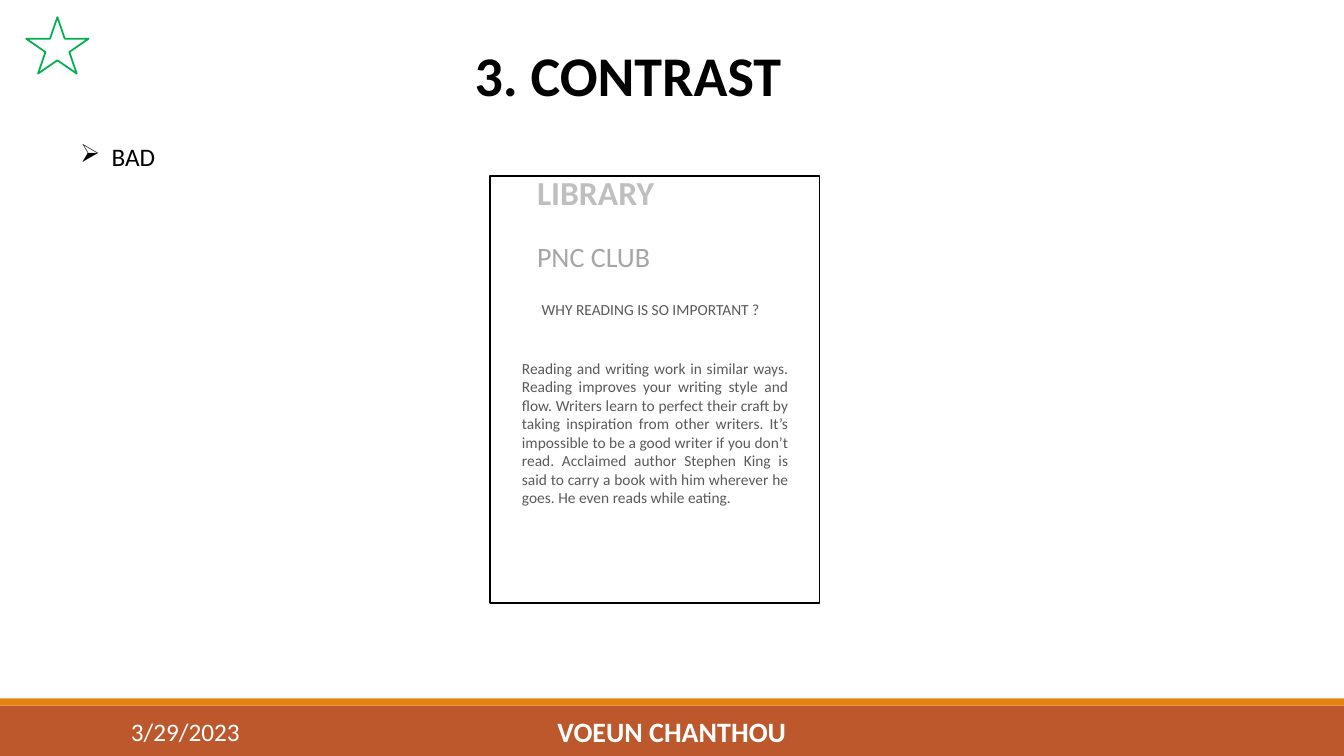
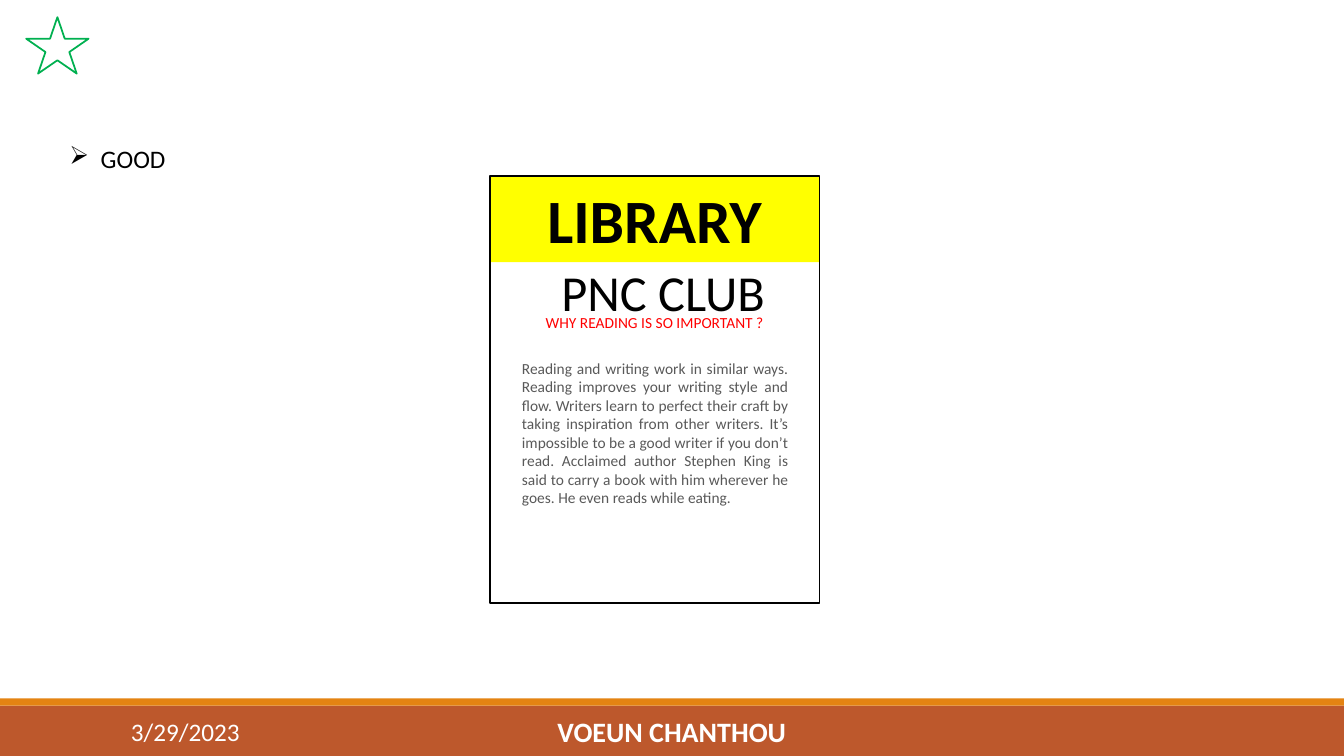
from dataclasses import dataclass

from lxml import etree
from pptx import Presentation
from pptx import util as u
from pptx.dml.color import RGBColor
from pptx.enum import shapes, text
from pptx.oxml import ns

WIDTH, HEIGHT = 13.33, 7.5
FONT = "Calibri"
COLORS = {
    "footer": "BD582C", "strip": "E48312", "star": "00B050",
    "black": "000000", "white": "FFFFFF", "yellow": "FFFF00", "red": "FF0000",
    "pale": "BFBFBF", "grey": "A6A6A6", "dark": "595959",
}
ALIGN = text.PP_ALIGN
PRESET = shapes.MSO_SHAPE

QUESTION = "WHY READING IS SO IMPORTANT ?"
ARTICLE = (
    "Reading and writing work in similar ways. Reading improves your writing "
    "style and flow. Writers learn to perfect their craft by taking inspiration "
    "from other writers. It’s impossible to be a good writer if you don’t read. "
    "Acclaimed author Stephen King is said to carry a book with him wherever he "
    "goes. He even reads while eating."
)


@dataclass
class Box:
    """An area in inches; areas inside it are given in percent of it."""
    left: float
    top: float
    width: float
    height: float

    def inner(self, x, y, w, h):
        return Box(self.left + self.width * x / 100, self.top + self.height * y / 100,
                   self.width * w / 100, self.height * h / 100)

    def place(self):
        return [u.Inches(n) for n in (self.left, self.top, self.width, self.height)]


PAGE = Box(0, 0, WIDTH, HEIGHT)
FOOTER = PAGE.inner(0, 92.4, 100, 7.6)
POSTER = PAGE.inner(36.45, 23.33, 24.53, 56.4)

# What differs between the two posters: place in the poster and format
BAD_POSTER = {
    "heading": ((11.3, -2.1, 41.9, 11.8), dict(size=24, color="pale", bold=True, wrap=False)),
    "question": ((0.3, 27.9, 97, 6.9), dict(color="dark")),
    "club": ((11.3, 13.7, 40.7, 10.4), dict(size=20, color="grey", wrap=False)),
}
GOOD_POSTER = {
    "heading": ((0, 0.2, 100, 19.9),
                dict(size=44, bold=True, align=ALIGN.CENTER, fill="yellow")),
    "question": ((1.5, 31, 97, 6.9), dict(color="red")),
    "club": ((18.7, 18.7, 68.5, 16.8), dict(size=36, wrap=False)),
}


def rgb(name):
    return RGBColor.from_string(COLORS[name])


def add_figure(slide, box, preset=PRESET.RECTANGLE, fill=None, line=None):
    figure = slide.shapes.add_shape(preset, *box.place())
    figure.shadow.inherit = False
    if fill:
        figure.fill.solid()
        figure.fill.fore_color.rgb = rgb(fill)
    else:
        figure.fill.background()
    if line:
        figure.line.color.rgb = rgb(line)
        figure.line.width = u.Pt(1.25)
    else:
        figure.line.fill.background()
    return figure


def add_text(slide, box, words, size=18, color="black", bold=False, align=ALIGN.LEFT,
             anchor=text.MSO_ANCHOR.TOP, wrap=True, fill=None):
    holder = (add_figure(slide, box, fill=fill) if fill
              else slide.shapes.add_textbox(*box.place()))
    frame = holder.text_frame
    frame_format = dict(word_wrap=wrap, vertical_anchor=anchor,
                        auto_size=text.MSO_AUTO_SIZE.NONE if wrap
                        else text.MSO_AUTO_SIZE.SHAPE_TO_FIT_TEXT)
    for name, value in frame_format.items():
        setattr(frame, name, value)
    paragraph = frame.paragraphs[0]
    paragraph.alignment = align
    run = paragraph.add_run()
    run.text = words
    for name, value in dict(name=FONT, size=u.Pt(size), bold=bold).items():
        setattr(run.font, name, value)
    run.font.color.rgb = rgb(color)
    return paragraph


def add_verdict(slide, box, words):
    """One line with an arrow bullet and a hanging indent."""
    properties = add_text(slide, box, words)._p.get_or_add_pPr()
    indent = u.Inches(0.31)
    properties.set("marL", str(indent))
    properties.set("indent", str(-indent))
    etree.SubElement(properties, ns.qn("a:buChar")).set("char", "➢")


def add_footer(slide, box):
    add_figure(slide, box.inner(0, 12.3, 100, 87.7), fill="footer")
    add_figure(slide, box.inner(0, 0, 100, 12.3), fill="strip")
    label = dict(color="white", anchor=text.MSO_ANCHOR.MIDDLE)
    add_text(slide, box.inner(9, 22.8, 20.25, 70.2), "3/29/2023", **label)
    add_text(slide, box.inner(30.23, 22.8, 39.53, 70.2), "VOEUN CHANTHOU",
             size=20, bold=True, align=ALIGN.CENTER, **label)


def add_poster(slide, box, style):
    def add_words(name, words, **shared):
        place, look = style[name]
        add_text(slide, box.inner(*place), words, **shared, **look)

    add_words("heading", "LIBRARY")
    add_figure(slide, box, line="black")
    add_words("question", QUESTION, size=11, align=ALIGN.CENTER)
    add_words("club", "PNC CLUB")
    add_text(slide, box.inner(6.7, 41.6, 86.9, 41.8), ARTICLE,
             size=11, color="dark", align=ALIGN.JUSTIFY)


def add_example(deck, verdict, verdict_place, poster_style, title=None):
    slide = deck.slides.add_slide(deck.slide_layouts[6])
    add_footer(slide, FOOTER)
    if title:
        add_text(slide, PAGE.inner(34.58, 4.67, 26.86, 10.27), title, size=40, bold=True)
    add_verdict(slide, PAGE.inner(*verdict_place), verdict)
    add_poster(slide, POSTER, poster_style)
    add_figure(slide, PAGE.inner(1.95, 2.27, 4.65, 7.47), PRESET.STAR_5_POINT,
               fill="white", line="star")


def main():
    deck = Presentation()
    deck.slide_width, deck.slide_height = u.Inches(WIDTH), u.Inches(HEIGHT)
    add_example(deck, "BAD", (5.25, 18, 14.85, 5.33), BAD_POSTER, title="3. CONTRAST")
    add_example(deck, "GOOD", (4.43, 18.27, 13.73, 5.33), GOOD_POSTER)
    deck.save("out.pptx")


if __name__ == "__main__":
    main()
